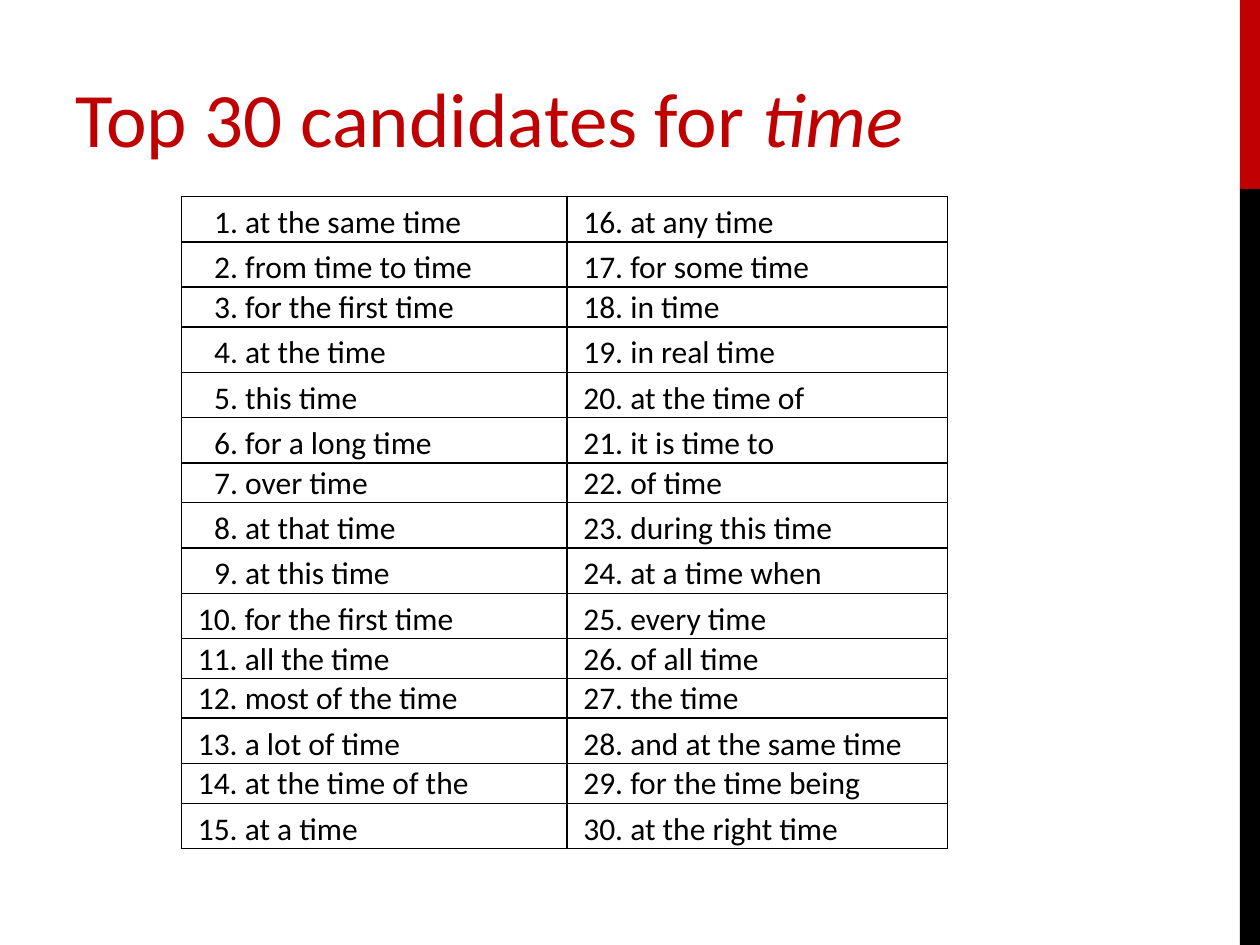
from dataclasses import dataclass

from lxml.etree import SubElement
from pptx import Presentation
from pptx.dml.color import RGBColor
from pptx.enum.shapes import MSO_SHAPE as Shape
from pptx.enum.text import MSO_ANCHOR as Anchor, PP_ALIGN as Align
from pptx.oxml.ns import qn
from pptx.util import Inches, Pt


@dataclass(frozen=True)
class Theme:
    """Colours and type of the slide."""
    red: RGBColor = RGBColor(0xC0, 0, 0)
    black: RGBColor = RGBColor(0, 0, 0)
    font: str = "Calibri"
    title_size: int = 44
    table_size: int = 18
    border: int = 1


THEME = Theme()
PHRASES = [
    "at the same time", "from time to time", "for the first time",
    "at the time", "this time", "for a long time", "over time",
    "at that time", "at this time", "for the first time", "all the time",
    "most of the time", "a lot of time", "at the time of the", "at a time",
    "at any time", "for some time", "in time", "in real time",
    "at the time of", "it is time to", "of time", "during this time",
    "at a time when", "every time", "of all time", "the time",
    "and at the same time", "for the time being", "at the right time",
]
ROW_COUNT = len(PHRASES) // 2
TALL_ROW, SHORT_ROW = 0.36, 0.2
SHORT_ROWS = {2, 6, 10, 11, 13}
COLUMN_WIDTHS = (3.06, 3.02)


def set_font(font, size, color):
    """Apply the theme's typeface with a size and colour."""
    font.name = THEME.font
    font.size = Pt(size)
    font.color.rgb = color


def add_side_bar(slide, left, top, width, height):
    """Draw the two-colour bar, its top fifth red."""
    red_height = height * 0.2
    parts = ((top, red_height, THEME.red),
             (top + red_height, height - red_height, THEME.black))
    for part_top, part_height, color in parts:
        bar = slide.shapes.add_shape(
            Shape.RECTANGLE, Inches(left), Inches(part_top),
            Inches(width), Inches(part_height))
        bar.shadow.inherit = False
        bar.fill.solid()
        bar.fill.fore_color.rgb = color
        bar.line.fill.background()


def fill_title(slide, left, top, width, height):
    """Place the title, with its last word in italics."""
    title = slide.shapes.title
    title.left, title.top = Inches(left), Inches(top)
    title.width, title.height = Inches(width), Inches(height)
    title.text_frame.vertical_anchor = Anchor.MIDDLE
    paragraph = title.text_frame.paragraphs[0]
    paragraph.alignment = Align.LEFT
    set_font(paragraph.font, THEME.title_size, THEME.red)
    paragraph.add_run().text = "Top 30 candidates for "
    keyword = paragraph.add_run()
    keyword.text = "time"
    keyword.font.italic = True


def add_borders(cell):
    """Give a cell a thin line on all four sides."""
    properties = cell._tc.get_or_add_tcPr()
    for side in ("lnL", "lnR", "lnT", "lnB"):
        line = SubElement(properties, qn(f"a:{side}"), w=str(Pt(THEME.border)))
        fill = SubElement(line, qn("a:solidFill"))
        SubElement(fill, qn("a:srgbClr"), val=str(THEME.black))


def fill_cell(cell, number, phrase):
    """Write one numbered phrase, indenting single digits further."""
    add_borders(cell)
    cell.fill.background()
    cell.vertical_anchor = Anchor.BOTTOM
    cell.margin_left = cell.margin_right = cell.margin_top = Inches(0.01)
    cell.margin_bottom = 0
    cell.text = f"{number}. {phrase}"
    paragraph = cell.text_frame.paragraphs[0]
    indent = Inches(0.25 if number < 10 else 0.12)
    paragraph._p.get_or_add_pPr().set("marL", str(indent))
    set_font(paragraph.font, THEME.table_size, THEME.black)


def add_phrase_table(slide, left, top, width, height):
    """List the phrases down two columns."""
    frame = slide.shapes.add_table(
        ROW_COUNT, len(COLUMN_WIDTHS), Inches(left), Inches(top),
        Inches(width), Inches(height))
    table = frame.table
    table.first_row = table.horz_banding = False
    for column, share in zip(table.columns, COLUMN_WIDTHS):
        column.width = Inches(width * share / sum(COLUMN_WIDTHS))
    for index, row in enumerate(table.rows):
        row.height = Inches(SHORT_ROW if index in SHORT_ROWS else TALL_ROW)
    for index, phrase in enumerate(PHRASES):
        column, row = divmod(index, ROW_COUNT)
        fill_cell(table.cell(row, column), index + 1, phrase)


def main():
    """Build and save the slide."""
    presentation = Presentation()
    presentation.slide_width = Inches(10)
    presentation.slide_height = Inches(7.5)
    slide = presentation.slides.add_slide(presentation.slide_layouts[5])
    add_side_bar(slide, 9.84, 0, 0.16, 7.5)
    fill_title(slide, 0.5, 0.3, 7.96, 1.25)
    add_phrase_table(slide, 1.44, 1.56, 6.08, 5.17)
    presentation.save("out.pptx")


main()
